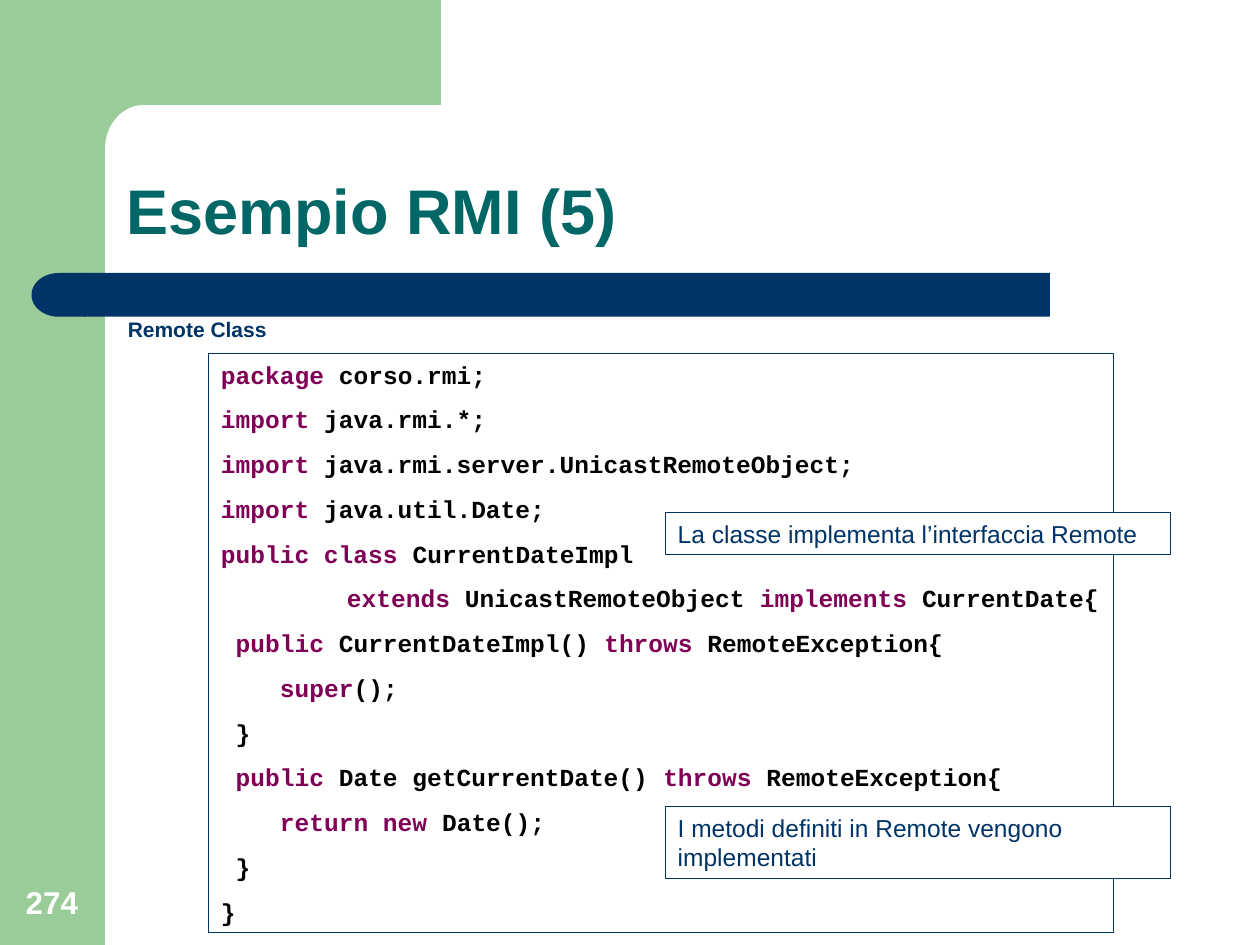
import math

from lxml import etree
from pptx import Presentation
from pptx import util as u
from pptx.dml.color import RGBColor
from pptx.enum import shapes, text
from pptx.oxml.ns import qn

Pt = u.Pt
GREEN, NAVY, TEAL = "99CC99", "003366", "006666"
WHITE, BLACK, PURPLE = "FFFFFF", "000000", "7F0055"
SHAPE = shapes.MSO_SHAPE
ANCHOR = text.MSO_ANCHOR

CODE = [
    "|package| corso.rmi;",
    "|import| java.rmi.*;",
    "|import| java.rmi.server.UnicastRemoteObject;",
    "|import| java.util.Date;",
    "|public class| CurrentDateImpl",
    "\t|extends| UnicastRemoteObject |implements| CurrentDate{",
    " |public| CurrentDateImpl() |throws| RemoteException{",
    "    |super|();",
    " }",
    " |public| Date getCurrentDate() |throws| RemoteException{",
    "    |return new| Date();",
    " }",
    "}",
]


def color(value):
    return RGBColor.from_string(value)


def set_attrs(obj, values):
    for name, value in values.items():
        setattr(obj, name, value)


def paint(sp, fill=None, line=None):
    sp.shadow.inherit = False
    if fill:
        sp.fill.solid()
        sp.fill.fore_color.rgb = color(fill)
    else:
        sp.fill.background()
    if line:
        sp.line.color.rgb = color(line)
        sp.line.width = Pt(0.75)
    else:
        sp.line.fill.background()
    return sp


def add_block(s, kind, box, fill=None, line=None):
    return paint(s.shapes.add_shape(kind, *map(Pt, box)), fill, line)


def add_run(p, words, size, tint, bold=False, name="Arial"):
    r = p.add_run()
    r.text = words
    set_attrs(r.font, {"size": Pt(size), "bold": bold, "name": name})
    r.font.color.rgb = color(tint)


def frame(sp, anchor=ANCHOR.TOP):
    tf = sp.text_frame
    set_attrs(tf, {"word_wrap": True, "vertical_anchor": anchor,
                   "margin_left": Pt(7.2), "margin_right": Pt(7.2),
                   "margin_top": Pt(3.6), "margin_bottom": Pt(3.6)})
    tf.paragraphs[0].alignment = text.PP_ALIGN.LEFT
    return tf


def add_label(s, box, words, size, tint, anchor=ANCHOR.TOP, spacing=1.0):
    tf = frame(s.shapes.add_textbox(*map(Pt, box)), anchor)
    p = tf.paragraphs[0]
    p.line_spacing = spacing
    add_run(p, words, size, tint, bold=True)


def add_side_band(s, box):
    x, y, w, h = box
    add_block(s, SHAPE.RECTANGLE, box, GREEN)
    right, bottom = x + w, y + 60
    rx, ry = 22, 25
    curve = []
    for step in range(25):
        a = math.pi / 2 * step / 24
        curve.append((right + rx * (1 - math.sin(a)), bottom + ry * (1 - math.cos(a))))
    points = [(x + 36, y), (x + 252, y), (x + 252, bottom), *curve,
              (right, y + 92), (x + 36, y + 92)]
    start, *rest = [(Pt(px), Pt(py)) for px, py in points]
    fb = s.shapes.build_freeform(*start)
    fb.add_line_segments(rest, close=True)
    paint(fb.convert_to_shape(), GREEN)


def add_title_bar(s, box):
    x, y, w, h = box
    cap = 31
    bar = add_block(s, SHAPE.ROUNDED_RECTANGLE, (x + cap - 1, y, w - cap + 1, h), NAVY)
    bar.adjustments[0] = 0
    end = add_block(s, SHAPE.FLOWCHART_DELAY, (x, y, cap, h), NAVY)
    end.rotation = 180


def add_code(s, box):
    tf = frame(add_block(s, SHAPE.RECTANGLE, box, line=NAVY))
    for i, line in enumerate(CODE):
        p = tf.add_paragraph() if i else tf.paragraphs[0]
        p.alignment = text.PP_ALIGN.LEFT
        p.space_before = Pt(8.75 if i else 0)
        if "\t" in line:
            tabs = etree.SubElement(p._p.get_or_add_pPr(), qn("a:tabLst"))
            etree.SubElement(tabs, qn("a:tab"), pos=str(Pt(72)), algn="l")
        for j, part in enumerate(line.split("|")):
            if part:
                add_run(p, part, 14, PURPLE if j % 2 else BLACK, True, "Courier New")


def add_note(s, box, words):
    tf = frame(add_block(s, SHAPE.RECTANGLE, box, WHITE, NAVY))
    add_run(tf.paragraphs[0], words, 14, NAVY)


def main():
    prs = Presentation()
    set_attrs(prs, {"slide_width": Pt(720), "slide_height": Pt(540)})
    s = prs.slides.add_slide(prs.slide_layouts[6])
    add_side_band(s, (0, 0, 60, 540))
    add_title_bar(s, (18, 156, 582, 25))
    add_label(s, (7.5, 491.5, 46, 38), "274", 18, WHITE, ANCHOR.BOTTOM)
    add_label(s, (65.2, 72, 613.5, 73.5), "Esempio RMI (5)", 36, TEAL, ANCHOR.BOTTOM, 0.9)
    add_label(s, (66, 178.8, 155, 27.4), "Remote Class", 12, NAVY, spacing=0.9)
    add_code(s, (119.2, 202, 517, 331))
    add_note(s, (380.2, 293, 288.5, 24), "La classe implementa l’interfaccia Remote")
    add_note(s, (380.2, 461, 288.5, 41), "I metodi definiti in Remote vengono implementati")
    prs.save("out.pptx")


if __name__ == "__main__":
    main()
